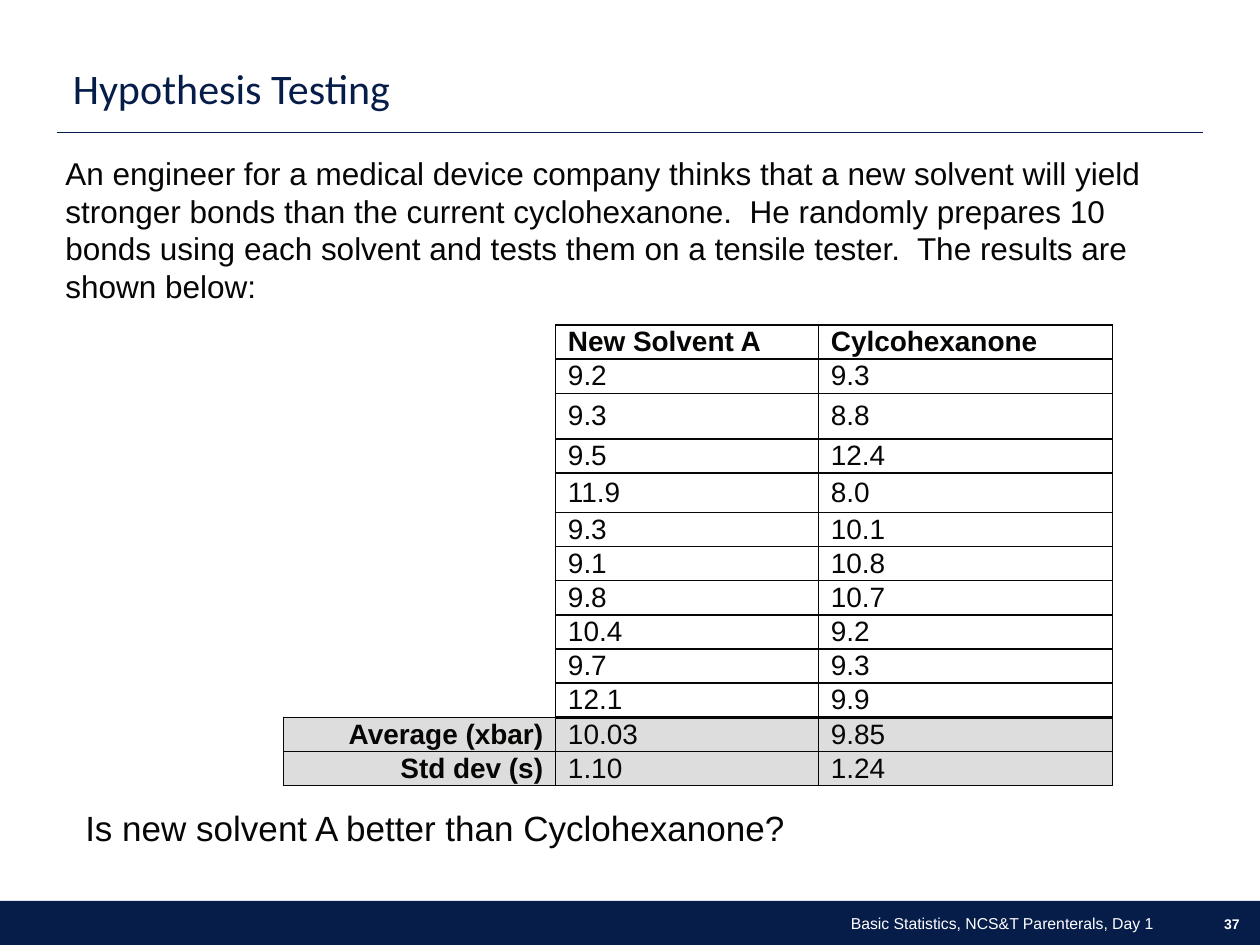
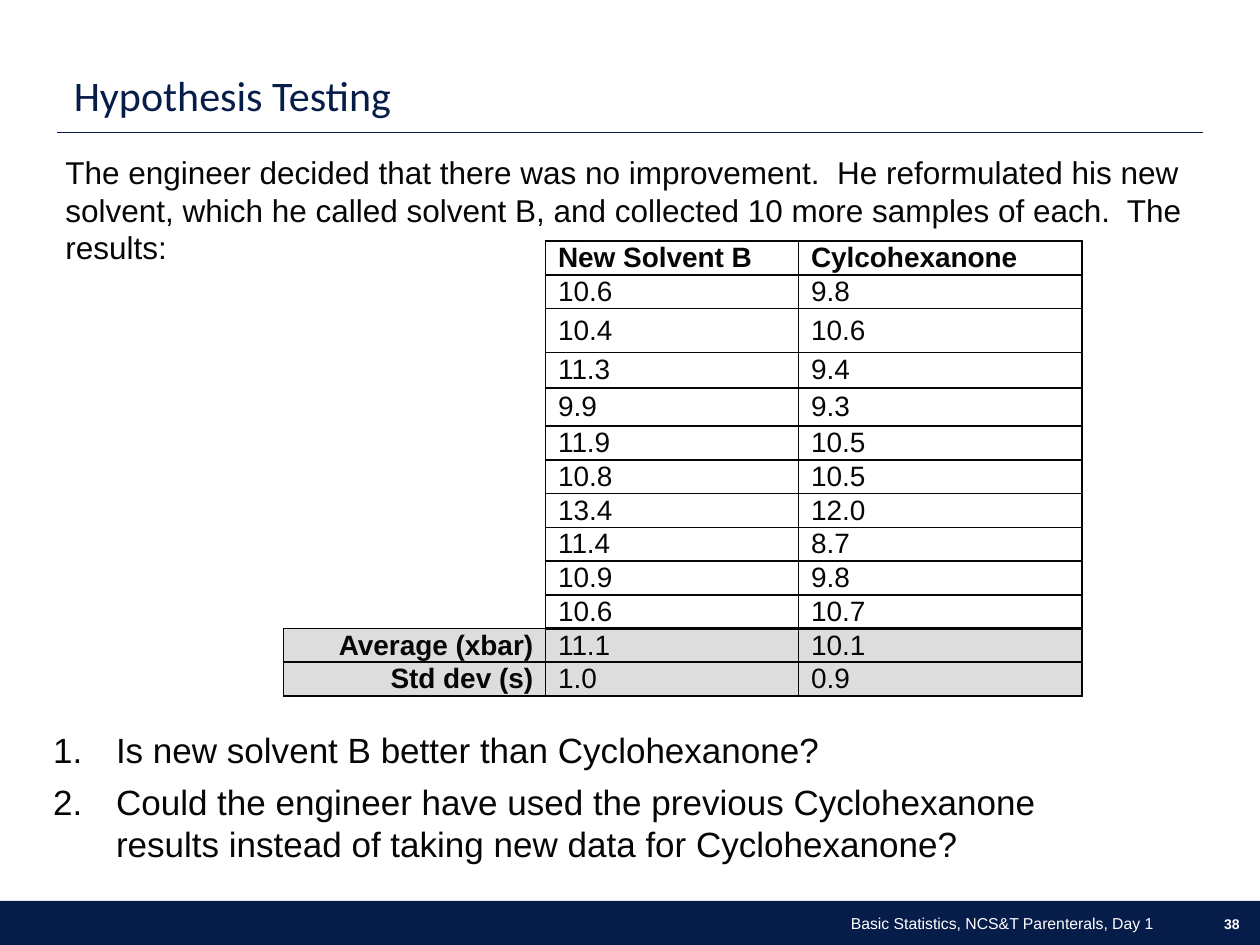
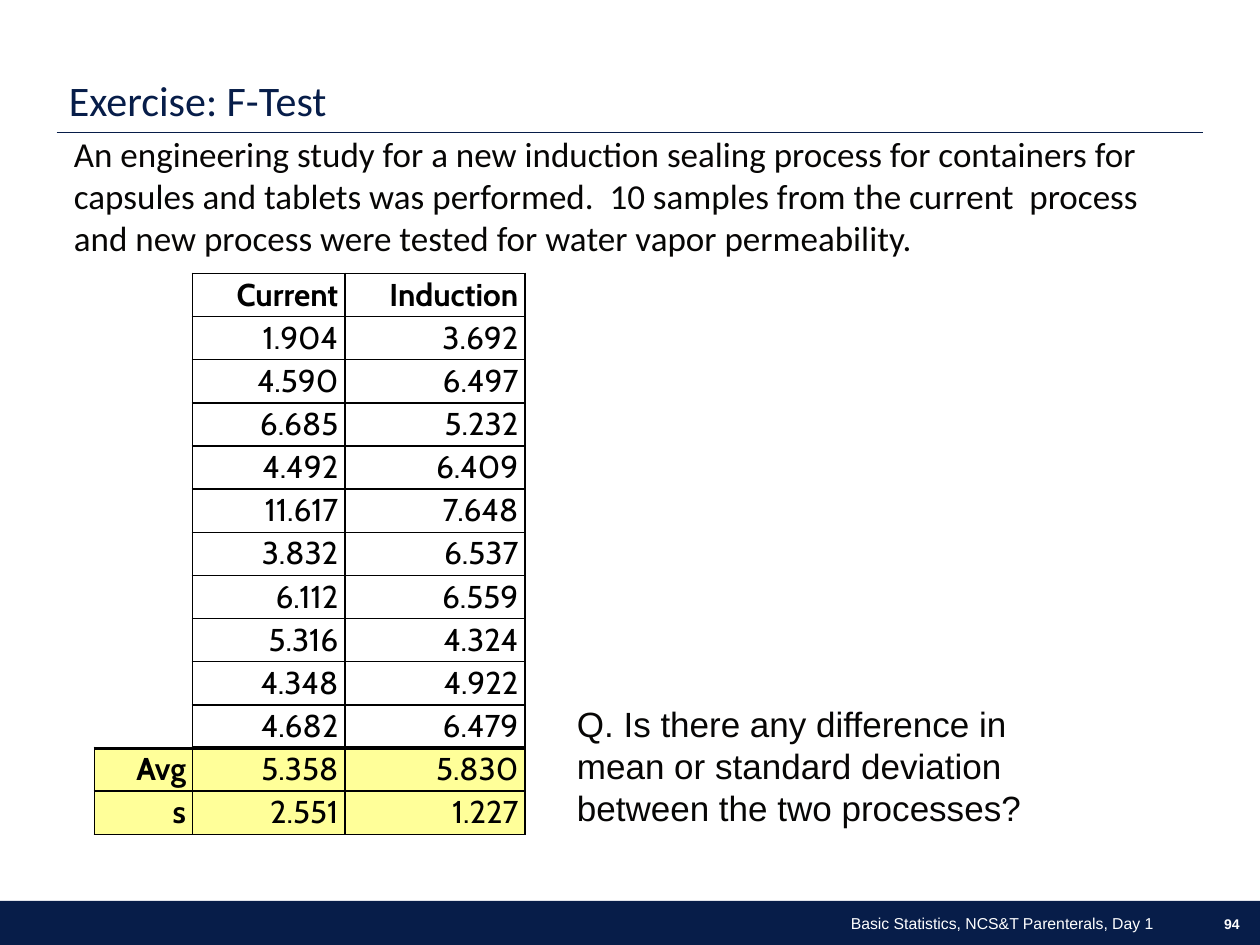
"""Build three statistics slides that compare paired samples in tables."""
import dataclasses
import typing

import lxml.etree
import pptx
import pptx.dml.color
import pptx.enum.shapes
import pptx.enum.text
import pptx.oxml.ns
import pptx.slide
import pptx.table
import pptx.util

Cm = pptx.util.Cm
Pt = pptx.util.Pt
RGBColor = pptx.dml.color.RGBColor
ALIGN = pptx.enum.text.PP_ALIGN
ANCHOR = pptx.enum.text.MSO_ANCHOR
qn = pptx.oxml.ns.qn

NAVY = RGBColor(0x07, 0x1D, 0x49)
INK = RGBColor(0x07, 0x06, 0x05)
BLACK = RGBColor(0x00, 0x00, 0x00)
WHITE = RGBColor(0xFF, 0xFF, 0xFF)
GREY = RGBColor(0xDD, 0xDD, 0xDD)
YELLOW = RGBColor(0xFF, 0xFF, 0x99)

PLAIN_TABLE = "{2D5ABB26-0587-4C30-8999-92F81FD0307C}"
FOOTER = "Basic Statistics, NCS&T Parenterals, Day 1"
DEFAULT_INSETS = (0.25, 0.13, 0.25, 0.13)
NO_INSETS = (0, 0, 0, 0)


class Box(typing.NamedTuple):
    """Left, top, width and height in centimetres."""
    left: float
    top: float
    width: float
    height: float


@dataclasses.dataclass(frozen=True)
class TextStyle:
    """Look of the text in a box."""
    size: float
    font: str = "Arial"
    color: RGBColor = INK
    bold: bool = False
    align: ALIGN = ALIGN.LEFT
    anchor: ANCHOR = ANCHOR.TOP
    insets: tuple[float, ...] = DEFAULT_INSETS
    line_spacing: float = 1.0
    numbered: bool = False


@dataclasses.dataclass(frozen=True)
class TableStyle:
    """Look of a sample table."""
    text: TextStyle
    line: RGBColor
    summary_fill: RGBColor
    summary_alpha: int
    label_rule: float
    summary_rule: float


@dataclasses.dataclass(frozen=True)
class SampleTable:
    """Two columns of samples followed by labelled summary rows."""
    left: float
    top: float
    columns: tuple[float, ...]
    row_height: float
    headers: tuple[str, str]
    samples: tuple[tuple[str, str], ...]
    summary: tuple[tuple[str, str, str], ...]
    style: TableStyle
    tall_rows: dict[int, float] = dataclasses.field(default_factory=dict)


@dataclasses.dataclass(frozen=True)
class TextBlock:
    """Paragraphs placed in a box."""
    box: Box
    style: TextStyle
    paragraphs: tuple[str, ...]


@dataclasses.dataclass(frozen=True)
class Page:
    """Content of one slide."""
    number: int
    title: TextBlock
    intro: TextBlock
    table: SampleTable
    question: TextBlock


TITLE = TextStyle(24, "Calibri", NAVY, anchor=ANCHOR.BOTTOM, line_spacing=0.9)
INTRO = TextStyle(18)
CALIBRI_INTRO = TextStyle(20, "Calibri")
QUESTION = TextStyle(20)
FLUSH_QUESTION = TextStyle(20, insets=NO_INSETS)
NUMBERED = TextStyle(20, insets=NO_INSETS, numbered=True)
FOOTER_TEXT = TextStyle(9, color=WHITE, align=ALIGN.RIGHT, anchor=ANCHOR.MIDDLE)
PAGE_NUMBER = TextStyle(8, color=WHITE, bold=True, align=ALIGN.RIGHT,
                        anchor=ANCHOR.MIDDLE, insets=(0.25, 0.13, 0, 0.13))
SOLVENT = TableStyle(
    TextStyle(16, anchor=ANCHOR.MIDDLE, insets=(0.25, 0, 0.25, 0)),
    INK, GREY, 50, 1, 2.25)
SEALING = TableStyle(
    TextStyle(18, "Cabin", BLACK, align=ALIGN.RIGHT, anchor=ANCHOR.BOTTOM,
              insets=(0.03, 0.03, 0.13, 0.05)),
    BLACK, YELLOW, 100, 2, 3)

PAGES = (
    Page(
        37,
        TextBlock(Box(1.22, 0.69, 22.91, 1.73), TITLE, ("Hypothesis Testing",)),
        TextBlock(Box(1.07, 2.97, 23.06, 3.33), INTRO, (
            "An engineer for a medical device company thinks that a new solvent "
            "will yield stronger bonds than the current cyclohexanone.  He randomly "
            "prepares 10 bonds using each solvent and tests them on a tensile "
            "tester.  The results are shown below:",)),
        SampleTable(
            5.72, 6.55, (5.48, 5.3, 5.93), 0.69,
            ("New Solvent A", "Cylcohexanone"),
            (("9.2", "9.3"), ("9.3", "8.8"), ("9.5", "12.4"), ("11.9", "8.0"),
             ("9.3", "10.1"), ("9.1", "10.8"), ("9.8", "10.7"), ("10.4", "9.2"),
             ("9.7", "9.3"), ("12.1", "9.9")),
            (("Average (xbar)", "10.03", "9.85"), ("Std dev (s)", "1.10", "1.24")),
            SOLVENT, {2: 0.92, 4: 0.79}),
        TextBlock(Box(1.47, 16.13, 15, 1.12), QUESTION,
                  ("Is new solvent A better than Cyclohexanone?",)),
    ),
    Page(
        38,
        TextBlock(Box(1.24, 0.84, 22.91, 1.73), TITLE, ("Hypothesis Testing",)),
        TextBlock(Box(1.07, 2.95, 23.06, 2.54), INTRO, (
            "The engineer decided that there was no improvement.  He reformulated "
            "his new solvent, which he called solvent B, and collected 10 more "
            "samples of each.  The results:",)),
        SampleTable(
            5.72, 4.86, (5.28, 5.1, 5.71), 0.68,
            ("New Solvent B", "Cylcohexanone"),
            (("10.6", "9.8"), ("10.4", "10.6"), ("11.3", "9.4"), ("9.9", "9.3"),
             ("11.9", "10.5"), ("10.8", "10.5"), ("13.4", "12.0"), ("11.4", "8.7"),
             ("10.9", "9.8"), ("10.6", "10.7")),
            (("Average (xbar)", "11.1", "10.1"), ("Std dev (s)", "1.0", "0.9")),
            SOLVENT, {2: 0.89, 3: 0.71, 4: 0.77}),
        TextBlock(Box(1.07, 14.68, 22.02, 2.79), NUMBERED, (
            "Is new solvent B better than Cyclohexanone?",
            "Could the engineer have used the previous Cyclohexanone results "
            "instead of taking new data for Cyclohexanone?")),
    ),
    Page(
        94,
        TextBlock(Box(1.14, 0.64, 23.11, 2.03), TITLE, ("Exercise: F-Test",)),
        TextBlock(Box(1.24, 2.54, 22.89, 2.54), CALIBRI_INTRO, (
            "An engineering study for a new induction sealing process for containers "
            "for capsules and tablets was performed.  10 samples from the current  "
            "process and new process were tested for water vapor permeability.",)),
        SampleTable(
            1.9, 5.51, (1.98, 3.07, 3.63), 0.87,
            ("Current", "Induction"),
            (("1.904", "3.692"), ("4.590", "6.497"), ("6.685", "5.232"),
             ("4.492", "6.409"), ("11.617", "7.648"), ("3.832", "6.537"),
             ("6.112", "6.559"), ("5.316", "4.324"), ("4.348", "4.922"),
             ("4.682", "6.479")),
            (("Avg", "5.358", "5.830"), ("s", "2.551", "1.227")),
            SEALING),
        TextBlock(Box(11.63, 14.17, 10.16, 2.54), FLUSH_QUESTION, (
            "Q. Is there any difference in mean or standard deviation between "
            "the two processes?",)),
    ),
)


def add_run(p: typing.Any, text: str, style: TextStyle) -> None:
    """Add one styled run to a paragraph."""
    r = p.add_run()
    r.text = text
    r.font.name = style.font
    r.font.size = Pt(style.size)
    r.font.bold = style.bold
    r.font.color.rgb = style.color


def number_paragraph(p: typing.Any) -> None:
    """Give a paragraph an automatic number and a hanging indent."""
    pPr = p._p.get_or_add_pPr()
    pPr.set("marL", str(Cm(1.27)))
    pPr.set("indent", str(-Cm(1.27)))
    lxml.etree.SubElement(pPr, qn("a:buFont"), typeface="+mj-lt")
    lxml.etree.SubElement(pPr, qn("a:buAutoNum"), type="arabicPeriod")


def add_text(s: pptx.slide.Slide, block: TextBlock) -> None:
    """Add a text box with one run in each paragraph."""
    style = block.style
    tf = s.shapes.add_textbox(*map(Cm, block.box)).text_frame
    tf.word_wrap = True
    tf.vertical_anchor = style.anchor
    tf.margin_left, tf.margin_top, tf.margin_right, tf.margin_bottom = map(
        Cm, style.insets)
    for i, text in enumerate(block.paragraphs):
        p = tf.add_paragraph() if i else tf.paragraphs[0]
        if style.numbered:
            number_paragraph(p)
        p.alignment = style.align
        p.line_spacing = style.line_spacing
        if i:
            p.space_before = Pt(6)
        add_run(p, text, style)


def add_borders(cell: typing.Any, color: RGBColor, widths: dict[str, float]) -> None:
    """Draw the given sides of a cell, keyed L, R, T and B."""
    tcPr = cell._tc.get_or_add_tcPr()
    for side in "LRTB":
        if side in widths:
            ln = lxml.etree.SubElement(
                tcPr, qn(f"a:ln{side}"), w=str(Pt(widths[side])))
            fill = lxml.etree.SubElement(ln, qn("a:solidFill"))
            lxml.etree.SubElement(fill, qn("a:srgbClr"), val=str(color))


def fill_summary(cell: typing.Any, style: TableStyle) -> None:
    """Tint a summary cell."""
    cell.fill.solid()
    cell.fill.fore_color.rgb = style.summary_fill
    if style.summary_alpha < 100:
        color = next(cell._tc.tcPr.iter(qn("a:srgbClr")))
        lxml.etree.SubElement(
            color, qn("a:alpha"), val=str(style.summary_alpha * 1000))


def cell_borders(row: int, col: int, first_summary: int,
                 style: TableStyle) -> dict[str, float]:
    """Work out the border widths of a cell from its place."""
    rule = style.summary_rule if col else style.label_rule
    widths = dict.fromkeys("LRTB", 1.0)
    if not col and row < first_summary:
        widths = {"R": 1.0}
    if row == first_summary - 1:
        widths["B"] = rule
    elif row == first_summary:
        widths["T"] = rule
    return widths


def add_samples(s: pptx.slide.Slide, t: SampleTable) -> None:
    """Add a sample table with its summary rows."""
    rows = [("", *pair) for pair in (t.headers, *t.samples)] + list(t.summary)
    first_summary = len(rows) - len(t.summary)
    heights = [t.tall_rows.get(i, t.row_height) for i in range(len(rows))]
    frame = s.shapes.add_table(
        len(rows), len(t.columns), Cm(t.left), Cm(t.top),
        Cm(sum(t.columns)), Cm(sum(heights)))
    next(frame._element.iter(qn("a:tableStyleId"))).text = PLAIN_TABLE
    table = frame.table
    table.first_row = table.horz_banding = False
    for column, width in zip(table.columns, t.columns):
        column.width = Cm(width)
    for row, height in zip(table.rows, heights):
        row.height = Cm(height)
    for i, texts in enumerate(rows):
        for j, text in enumerate(texts):
            cell = table.cell(i, j)
            style = t.style.text
            cell.vertical_anchor = style.anchor
            (cell.margin_left, cell.margin_top,
             cell.margin_right, cell.margin_bottom) = map(Cm, style.insets)
            add_borders(cell, t.style.line, cell_borders(i, j, first_summary, t.style))
            if i < first_summary:
                cell.fill.background()
            else:
                fill_summary(cell, t.style)
            p = cell.text_frame.paragraphs[0]
            if text:
                p.alignment = style.align if j else ALIGN.RIGHT
                bold = i == 0 or j == 0
                add_run(p, text, dataclasses.replace(style, bold=bold))
            else:
                lxml.etree.SubElement(p._p, qn("a:endParaRPr"), sz="1200")


def add_frame(s: pptx.slide.Slide) -> None:
    """Add the footer band and the line under the title."""
    band = s.shapes.add_shape(
        pptx.enum.shapes.MSO_SHAPE.RECTANGLE, Cm(0), Cm(18.16), Cm(25.4), Cm(0.89))
    band.shadow.inherit = False
    band.fill.solid()
    band.fill.fore_color.rgb = NAVY
    band.line.fill.background()
    rule = s.shapes.add_connector(
        pptx.enum.shapes.MSO_CONNECTOR.STRAIGHT,
        Cm(1.14), Cm(2.67), Cm(24.26), Cm(2.67))
    rule.line.color.rgb = NAVY
    rule.line.width = Pt(0.75)
    lxml.etree.SubElement(rule._element.spPr, qn("a:effectLst"))


def add_page(prs: typing.Any, page: Page) -> None:
    """Add one slide."""
    s = prs.slides.add_slide(prs.slide_layouts[6])
    add_frame(s)
    add_text(s, page.title)
    add_text(s, TextBlock(Box(23.57, 18.42, 1.42, 0.41), PAGE_NUMBER,
                          (str(page.number),)))
    add_text(s, page.intro)
    add_samples(s, page.table)
    add_text(s, page.question)
    add_text(s, TextBlock(Box(8.26, 18.36, 15.24, 0.51), FOOTER_TEXT, (FOOTER,)))


def main() -> None:
    """Build and save the slides."""
    prs = pptx.Presentation()
    prs.slide_width = Cm(25.4)
    prs.slide_height = Cm(19.05)
    for page in PAGES:
        add_page(prs, page)
    prs.save("out.pptx")


if __name__ == "__main__":
    main()
